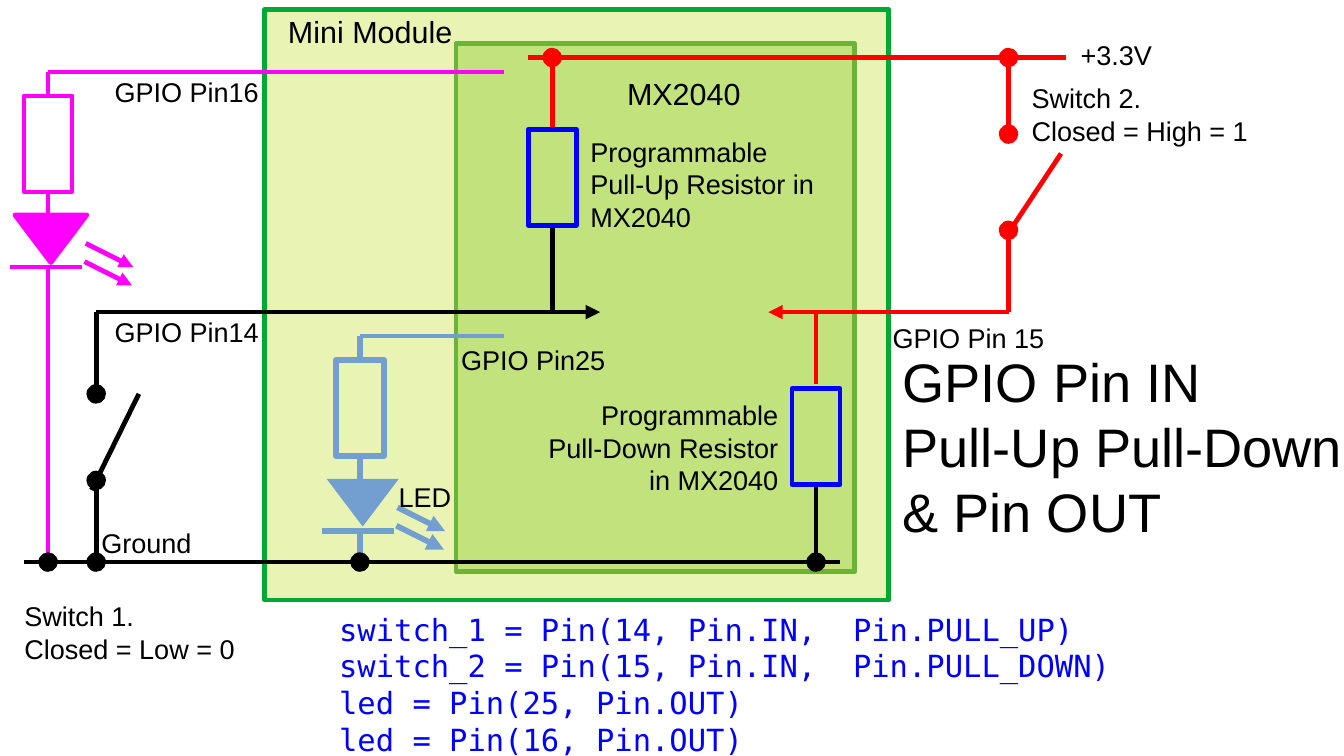
"""Build the GPIO pull-up, pull-down and output pin diagram slide."""
from lxml import etree
from pptx import Presentation
from pptx.dml.color import RGBColor
from pptx.enum.shapes import MSO_CONNECTOR, MSO_SHAPE
from pptx.enum.text import MSO_ANCHOR, MSO_AUTO_SIZE, PP_ALIGN
from pptx.oxml.ns import qn
from pptx.util import Pt

STRAIGHT = MSO_CONNECTOR.STRAIGHT
RECTANGLE, OVAL, DOWN_ARROW = MSO_SHAPE.RECTANGLE, MSO_SHAPE.OVAL, MSO_SHAPE.DOWN_ARROW
LEFT, CENTER, RIGHT = PP_ALIGN.LEFT, PP_ALIGN.CENTER, PP_ALIGN.RIGHT
MIDDLE, TOP = MSO_ANCHOR.MIDDLE, MSO_ANCHOR.TOP
NO_AUTOFIT = MSO_AUTO_SIZE.NONE

BLACK = RGBColor(0x00, 0x00, 0x00)
RED = RGBColor(0xFF, 0x00, 0x00)
BLUE = RGBColor(0x00, 0x00, 0xFF)
MAGENTA = RGBColor(0xFF, 0x00, 0xFF)
STEEL = RGBColor(0x72, 0x9F, 0xCF)
CHIP_FILL, CHIP_EDGE = RGBColor(0x5E, 0xB9, 0x1E), RGBColor(0x00, 0x80, 0x00)
BOARD_FILL, BOARD_EDGE = RGBColor(0xD4, 0xEA, 0x6B), RGBColor(0x00, 0xA9, 0x33)

SANS, MONO = "Arial", "DejaVu Sans Mono"
WIRE = 2.83
DOT = 11.5
RESISTOR_W, RESISTOR_H = 28.4, 56.7

SUPPLY_Y, INPUT_Y, GROUND_Y = 34, 184.3, 331.9
LED_16_X, SWITCH_1_X, LED_25_X = 28.4, 56.8, 212.5
PULL_UP_X, PULL_DOWN_X, SWITCH_2_X = 326, 481.8, 595.4
PULL_UP_Y, PULL_DOWN_Y = 76.4, 229.6
SWITCH_1_YS, SWITCH_2_YS = (232.6, 283.7), (79.2, 136)

TITLE = "GPIO Pin IN\vPull-Up Pull-Down\v& Pin OUT"
CODE = """switch_1 = Pin(14, Pin.IN,  Pin.PULL_UP)
switch_2 = Pin(15, Pin.IN,  Pin.PULL_DOWN)
led = Pin(25, Pin.OUT)
led = Pin(16, Pin.OUT)"""

PANELS = [
    (269.3, 25.9, 235.4, 311.8, CHIP_FILL, CHIP_EDGE),
    (156.2, 5.8, 368.6, 348.5, BOARD_FILL, BOARD_EDGE),
]
WIRES = [
    (311.8, SUPPLY_Y, 629.3, SUPPLY_Y, RED),
    (SWITCH_2_X, SUPPLY_Y, SWITCH_2_X, SWITCH_2_YS[0], RED),
    (598.3, 133.2, 626.4, 90.7, RED),
    (SWITCH_2_X, SWITCH_2_YS[1], SWITCH_2_X, INPUT_Y, RED),
    (PULL_DOWN_X, INPUT_Y, PULL_DOWN_X, 226.8, RED),
    (PULL_UP_X, SUPPLY_Y, PULL_UP_X, PULL_UP_Y, RED),
    (PULL_UP_X, PULL_UP_Y + RESISTOR_H, PULL_UP_X, INPUT_Y, BLACK),
    (PULL_DOWN_X, PULL_DOWN_Y + RESISTOR_H, PULL_DOWN_X, GROUND_Y, BLACK),
    (14.4, GROUND_Y, 496, GROUND_Y, BLACK),
    (SWITCH_1_X, INPUT_Y, SWITCH_1_X, SWITCH_1_YS[0], BLACK),
    (SWITCH_1_X, SWITCH_1_YS[1], SWITCH_1_X, GROUND_Y, BLACK),
    (54, 289.4, 82, 232.6, BLACK),
]
INPUT_ARROWS = [
    (SWITCH_2_X, INPUT_Y, 453.6, INPUT_Y, RED),
    (SWITCH_1_X, INPUT_Y, 354.3, INPUT_Y, BLACK),
]
PULL_RESISTORS = [(PULL_UP_X, PULL_UP_Y), (PULL_DOWN_X, PULL_DOWN_Y)]
LEDS = [
    (LED_16_X, 42.5, MAGENTA, WIRE),
    (LED_25_X, 198.4, STEEL, 3.4),
]
OUTPUT_END_X = 297.4
JUNCTIONS = [
    (RED, [(SWITCH_2_X, SUPPLY_Y), (PULL_UP_X, SUPPLY_Y)]
     + [(SWITCH_2_X, y) for y in SWITCH_2_YS]),
    (BLACK, [(SWITCH_1_X, y) for y in SWITCH_1_YS]
     + [(x, GROUND_Y) for x in (LED_16_X, SWITCH_1_X, LED_25_X, PULL_DOWN_X)]),
]
LABELS = [
    ("+3.3V", 637.9, 23, 142, 20, 16, LEFT),
    ("Programmable\nPull-Up Resistor in MX2040", 348.5, 79.9, 142, 56, 16, LEFT),
    ("Programmable\nPull-Down Resistor in MX2040", 317.5, 235.4, 142, 56, 16, RIGHT),
    ("Ground", 59.8, 311, 142, 18, 16, LEFT),
    ("GPIO Pin14", 67.7, 186.5, 99, 18, 16, LEFT),
    ("GPIO Pin 15", 527, 190, 113, 18, 16, LEFT),
    ("Switch 1.\nClosed = Low = 0", 14.4, 354.2, 170, 40, 16, LEFT),
    ("Switch 2.\nClosed = High = 1", 609, 48.2, 170, 40, 16, LEFT),
    ("Mini Module", 170, 8, 99, 20, 18, LEFT),
    ("MX2040", 354.2, 44.6, 99, 20, 18, CENTER),
    ("GPIO Pin25", 272.2, 203, 99, 18, 16, LEFT),
    ("LED", 235.4, 283.7, 40, 18, 16, LEFT),
    ("GPIO Pin16", 67.7, 44.6, 99, 18, 16, LEFT),
]


def write(frame, text, size, color=BLACK, font=SANS, align=LEFT, anchor=TOP, wrap=True):
    frame.auto_size = NO_AUTOFIT
    frame.word_wrap = wrap
    frame.vertical_anchor = anchor
    frame.margin_left = frame.margin_right = frame.margin_top = frame.margin_bottom = 0
    frame.text = text
    for paragraph in frame.paragraphs:
        paragraph.alignment = align
        for run in paragraph.runs:
            run.font.name = font
            run.font.size = Pt(size)
            run.font.color.rgb = color


def place(shape, left, top, width, height):
    shape.left, shape.top = Pt(left), Pt(top)
    shape.width, shape.height = Pt(width), Pt(height)


def add_label(slide, text, left, top, width, height, size, align, color=BLACK, font=SANS):
    box = slide.shapes.add_textbox(Pt(left), Pt(top), Pt(width), Pt(height))
    write(box.text_frame, text, size, color, font, align)


def add_wire(slide, x1, y1, x2, y2, color, width=WIRE, arrow=False):
    wire = slide.shapes.add_connector(STRAIGHT, Pt(x1), Pt(y1), Pt(x2), Pt(y2))
    wire.line.color.rgb = color
    wire.line.width = Pt(width)
    properties = wire.line._get_or_add_ln()
    if arrow:
        etree.SubElement(properties, qn("a:tailEnd"), type="triangle")
    etree.SubElement(properties.getparent(), qn("a:effectLst"))


def add_part(slide, kind, left, top, width, height, fill=None, edge=None, weight=WIRE):
    part = slide.shapes.add_shape(kind, Pt(left), Pt(top), Pt(width), Pt(height))
    part.shadow.inherit = False
    if fill is None:
        part.fill.background()
    else:
        part.fill.solid()
        part.fill.fore_color.rgb = fill
    if edge is None:
        part.line.fill.background()
    else:
        part.line.color.rgb = edge
        part.line.width = Pt(weight)
    return part


def add_panel(slide, left, top, width, height, fill, edge):
    panel = add_part(slide, RECTANGLE, left, top, width, height, fill, edge)
    tint = panel.fill._xPr.find(qn("a:solidFill"))[0]
    etree.SubElement(tint, qn("a:alpha"), val="50000")


def add_resistor(slide, x, top, color, weight=WIRE):
    add_part(slide, RECTANGLE, x - RESISTOR_W / 2, top, RESISTOR_W, RESISTOR_H,
             edge=color, weight=weight)


def add_led(slide, x, y, color, weight):
    add_wire(slide, OUTPUT_END_X, y, x, y, color)
    add_wire(slide, x, y, x, y + 14.2, color, weight)
    add_resistor(slide, x, y + 14.2, color, weight)
    add_wire(slide, x, y + 70.9, x, y + 85, color, weight)
    diode = add_part(slide, DOWN_ARROW, x - 19.6, y + 84.4, 42.5, 28.1, color,
                     MAGENTA if color == MAGENTA else None)
    diode.adjustments[0], diode.adjustments[1] = 0, 1
    add_wire(slide, x - 22.5, y + 115.2, x + 20, y + 115.2, color, weight)
    add_wire(slide, x, y + 115.2, x, GROUND_Y, color, weight)
    for dx, dy in ((22.2, 101.2), (21.5, 112)):
        add_wire(slide, x + dx, y + dy, x + dx + 28.1, y + dy + 14.1, color, weight, True)


def main():
    deck = Presentation()
    deck.slide_width, deck.slide_height = Pt(793.44), Pt(446.4)
    slide = deck.slides.add_slide(deck.slide_layouts[5])
    title = slide.shapes.title
    place(title, 532.8, 209.5, 260, 108)
    write(title.text_frame, TITLE, 32, anchor=MIDDLE, wrap=False)
    for panel in PANELS:
        add_panel(slide, *panel)
    for wire in WIRES:
        add_wire(slide, *wire)
    for arrow in INPUT_ARROWS:
        add_wire(slide, *arrow, arrow=True)
    for x, top in PULL_RESISTORS:
        add_resistor(slide, x, top, BLUE)
    for led in LEDS:
        add_led(slide, *led)
    for color, centers in JUNCTIONS:
        for x, y in centers:
            add_part(slide, OVAL, x - DOT / 2, y - DOT / 2, DOT, DOT, color)
    for label in LABELS:
        add_label(slide, *label)
    add_label(slide, CODE, 200.2, 360.7, 473, 85, 18, LEFT, BLUE, MONO)
    deck.save("out.pptx")


if __name__ == "__main__":
    main()
